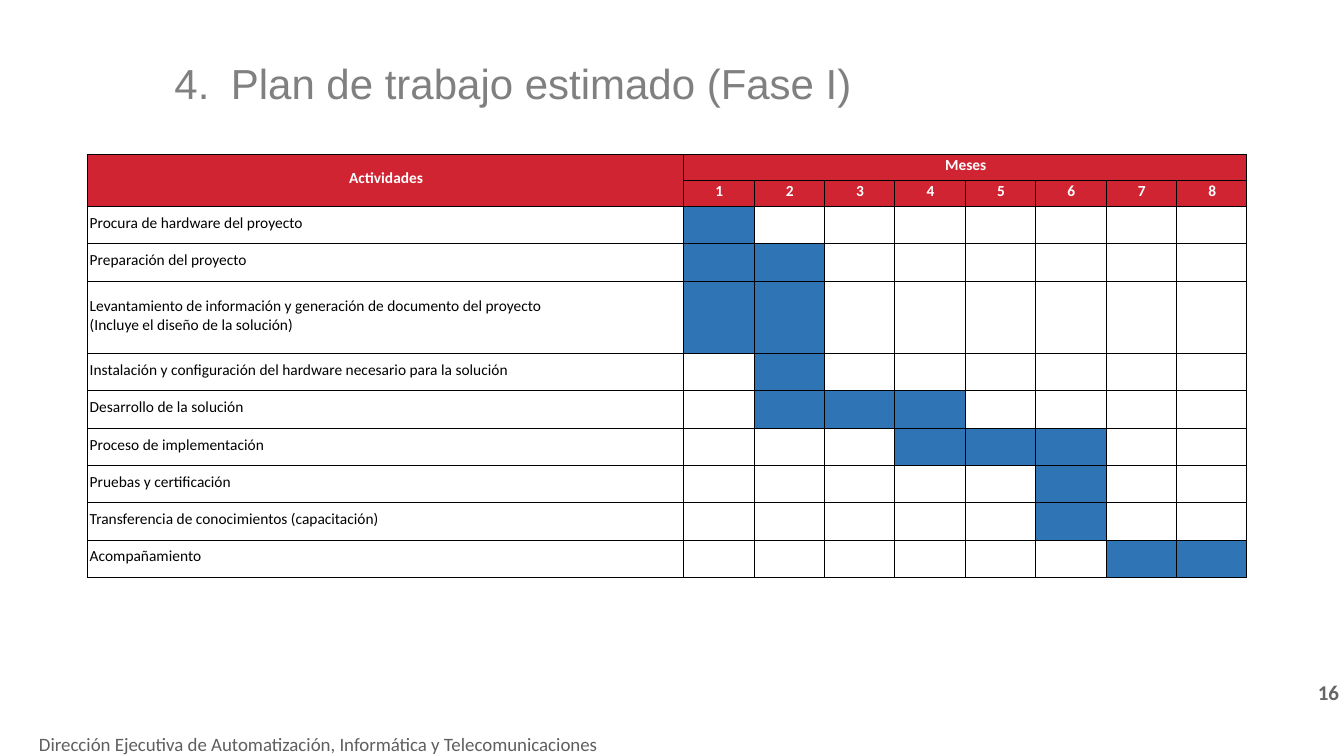
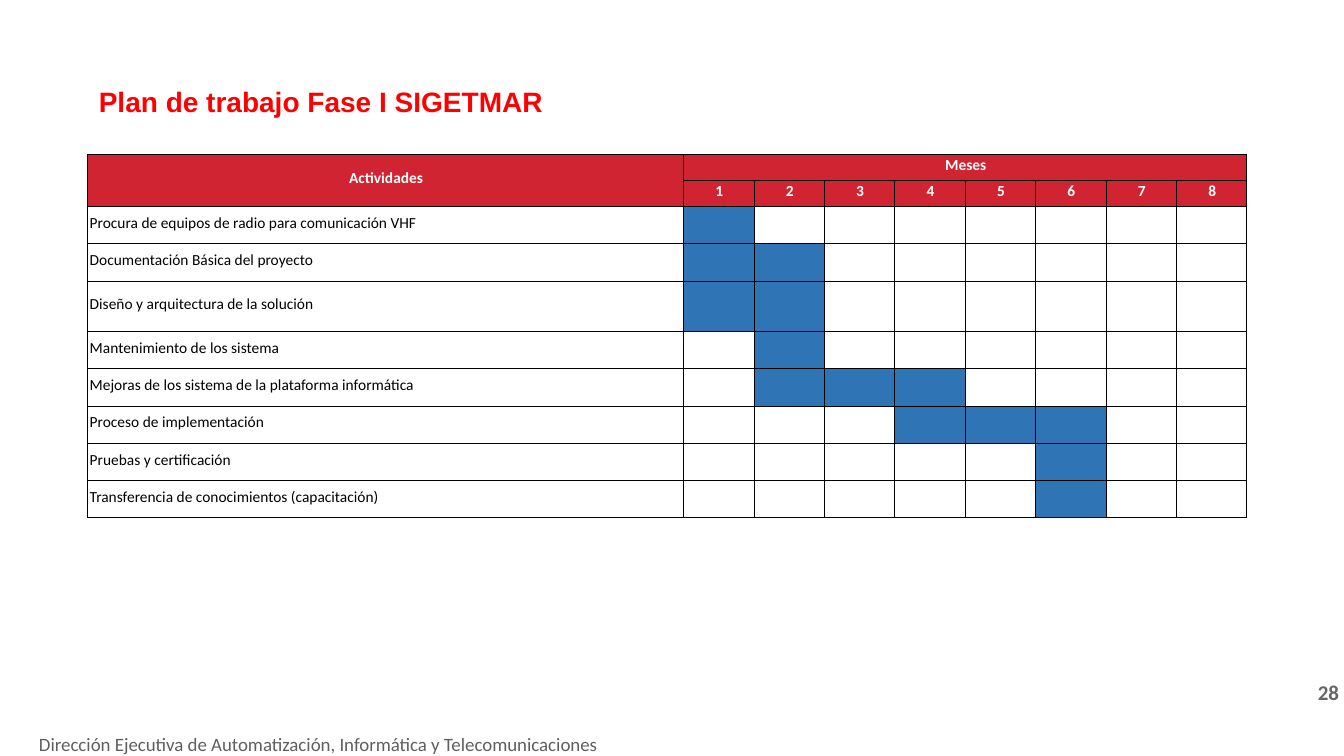
from copy import deepcopy

from lxml.etree import SubElement
from pptx import Presentation
from pptx.dml.color import RGBColor
from pptx.enum.shapes import PP_PLACEHOLDER
from pptx.enum.text import MSO_ANCHOR, MSO_AUTO_SIZE, PP_ALIGN
from pptx.oxml.ns import qn
from pptx.util import Inches, Pt

COLORS = {
    "header": "D02433", "bar": "2F75B5", "border": "000000", "text": "000000",
    "header_text": "FFFFFF", "footer": "5F5F5F", "page": "666666",
    "gray_title": "808080", "red_title": "FF0000",
}
FOOTER = "Dirección Ejecutiva de Automatización, Informática y Telecomunicaciones"
MONTHS = 8
TABLE_LEFT, TABLE_TOP, TABLE_WIDTH = 0.87, 1.53, 11.5
ACTIVITY_WIDTH = 5.91
HEADER_HEIGHT, ROW_HEIGHT = 0.26, 0.37

# Each activity: name, first month, last month, and a row height if not the usual one
SLIDES = [
    {
        "title": "Plan de trabajo estimado (Fase I)",
        "box": (1.63, 0.52, 9.65, 0.6),
        "style": {"size": 30, "color": "gray_title"},
        "number": 4,
        "page": "16",
        "activities": [
            ("Procura de hardware del proyecto", 1, 1),
            ("Preparación del proyecto", 1, 2),
            ("Levantamiento de información y generación de documento del proyecto\n"
             "(Incluye el diseño de la solución)", 1, 2, 0.72),
            ("Instalación y configuración del hardware necesario para la solución", 2, 2),
            ("Desarrollo de la solución", 2, 4),
            ("Proceso de implementación", 4, 6),
            ("Pruebas y certificación", 6, 6),
            ("Transferencia de conocimientos (capacitación)", 6, 6),
            ("Acompañamiento", 7, 8),
        ],
    },
    {
        "title": "Plan de trabajo Fase I SIGETMAR",
        "box": (0.88, 0.79, 9.65, 0.44),
        "style": {"size": 20, "color": "red_title", "bold": True},
        "number": None,
        "page": "28",
        "activities": [
            ("Procura de equipos de radio para comunicación VHF", 1, 1),
            ("Documentación Básica del proyecto", 1, 2),
            ("Diseño y arquitectura de la solución", 1, 2, 0.5),
            ("Mantenimiento de los sistema", 2, 2),
            ("Mejoras de los sistema de la plataforma informática", 2, 4),
            ("Proceso de implementación", 4, 6),
            ("Pruebas y certificación", 6, 6),
            ("Transferencia de conocimientos (capacitación)", 6, 6),
        ],
    },
]


def rgb(name):
    return RGBColor.from_string(COLORS[name])


def write(p, text, size, color, font="Calibri", bold=False):
    for i, line in enumerate(text.split("\n")):
        if i:
            p.add_line_break()
        r = p.add_run()
        r.text = line
        r.font.name, r.font.size, r.font.bold = font, Pt(size), bold
        r.font.color.rgb = rgb(color)


def place(sp, box, align):
    """Move a placeholder, empty it and return its paragraph."""
    sp.left, sp.top, sp.width, sp.height = map(Inches, box)
    tf = sp.text_frame
    tf.clear()
    tf.word_wrap = True
    tf.auto_size = MSO_AUTO_SIZE.NONE
    tf.vertical_anchor = MSO_ANCHOR.TOP
    p = tf.paragraphs[0]
    p.alignment = align
    return p


def add_footer(slide, page):
    parts = {
        PP_PLACEHOLDER.FOOTER: ((0.16, 7.22, 5.99, 0.32), FOOTER, 13.5, "footer", False),
        PP_PLACEHOLDER.SLIDE_NUMBER: ((12.8, 6.69, 0.75, 0.32), page, 15, "page", True),
    }
    for ph in slide.slide_layout.placeholders:
        kind = ph.placeholder_format.type
        if kind in parts:
            box, text, size, color, bold = parts[kind]
            slide.shapes.element.append(deepcopy(ph.element))
            p = place(slide.shapes[-1], box, PP_ALIGN.CENTER)
            write(p, text, size, color, bold=bold)


def add_title(slide, text, box, style, number):
    p = place(slide.shapes.title, box, PP_ALIGN.LEFT)
    if number:
        pPr = p._p.get_or_add_pPr()
        pPr.set("marL", str(Inches(0.56)))
        pPr.set("indent", str(-Inches(0.56)))
        SubElement(pPr, qn("a:buFont"), typeface="Arial")
        SubElement(pPr, qn("a:buAutoNum"), type="arabicPeriod", startAt=str(number))
    write(p, text, font="Arial", **style)


def format_cell(cell, text="", fill=None, header=False):
    cell.margin_left = Inches(0.02)
    cell.margin_right = cell.margin_top = Inches(0.01)
    cell.margin_bottom = Inches(0.05)
    cell.vertical_anchor = MSO_ANCHOR.MIDDLE
    tcPr = cell._tc.get_or_add_tcPr()
    for side in ("lnL", "lnR", "lnT", "lnB"):
        ln = SubElement(tcPr, qn(f"a:{side}"), w=str(Pt(0.75)))
        solid = SubElement(ln, qn("a:solidFill"))
        SubElement(solid, qn("a:srgbClr"), val=COLORS["border"])
    if fill:
        cell.fill.solid()
        cell.fill.fore_color.rgb = rgb(fill)
    else:
        cell.fill.background()
    p = cell.text_frame.paragraphs[0]
    p.alignment = PP_ALIGN.CENTER if header else PP_ALIGN.LEFT
    write(p, text, 11, "header_text" if header else "text", bold=header)


def add_plan(slide, activities):
    heights = [HEADER_HEIGHT] * 2 + [a[3] if len(a) > 3 else ROW_HEIGHT for a in activities]
    month_width = (TABLE_WIDTH - ACTIVITY_WIDTH) / MONTHS
    widths = [ACTIVITY_WIDTH] + [month_width] * MONTHS
    frame = slide.shapes.add_table(
        len(heights), len(widths), Inches(TABLE_LEFT), Inches(TABLE_TOP),
        Inches(TABLE_WIDTH), Inches(sum(heights)))
    table = frame.table
    table.first_row = table.horz_banding = False
    for row, height in zip(table.rows, heights):
        row.height = Inches(height)
    for column, width in zip(table.columns, widths):
        column.width = Inches(width)

    header_rows = [["Actividades", "Meses"] + [""] * (MONTHS - 1),
                   [""] + [str(m) for m in range(1, MONTHS + 1)]]
    for i, labels in enumerate(header_rows):
        for j, label in enumerate(labels):
            format_cell(table.cell(i, j), label, "header", header=True)
    table.cell(0, 0).merge(table.cell(1, 0))
    table.cell(0, 1).merge(table.cell(0, MONTHS))

    for i, (name, first, last, *_) in enumerate(activities, start=2):
        format_cell(table.cell(i, 0), name)
        for month in range(1, MONTHS + 1):
            format_cell(table.cell(i, month), fill="bar" if first <= month <= last else None)


def main():
    prs = Presentation()
    prs.slide_width, prs.slide_height = Inches(13.33), Inches(7.5)
    title_only = prs.slide_layouts[5]
    for content in SLIDES:
        s = prs.slides.add_slide(title_only)
        add_footer(s, content["page"])
        add_title(s, content["title"], content["box"], content["style"], content["number"])
        add_plan(s, content["activities"])
    prs.save("out.pptx")


if __name__ == "__main__":
    main()
